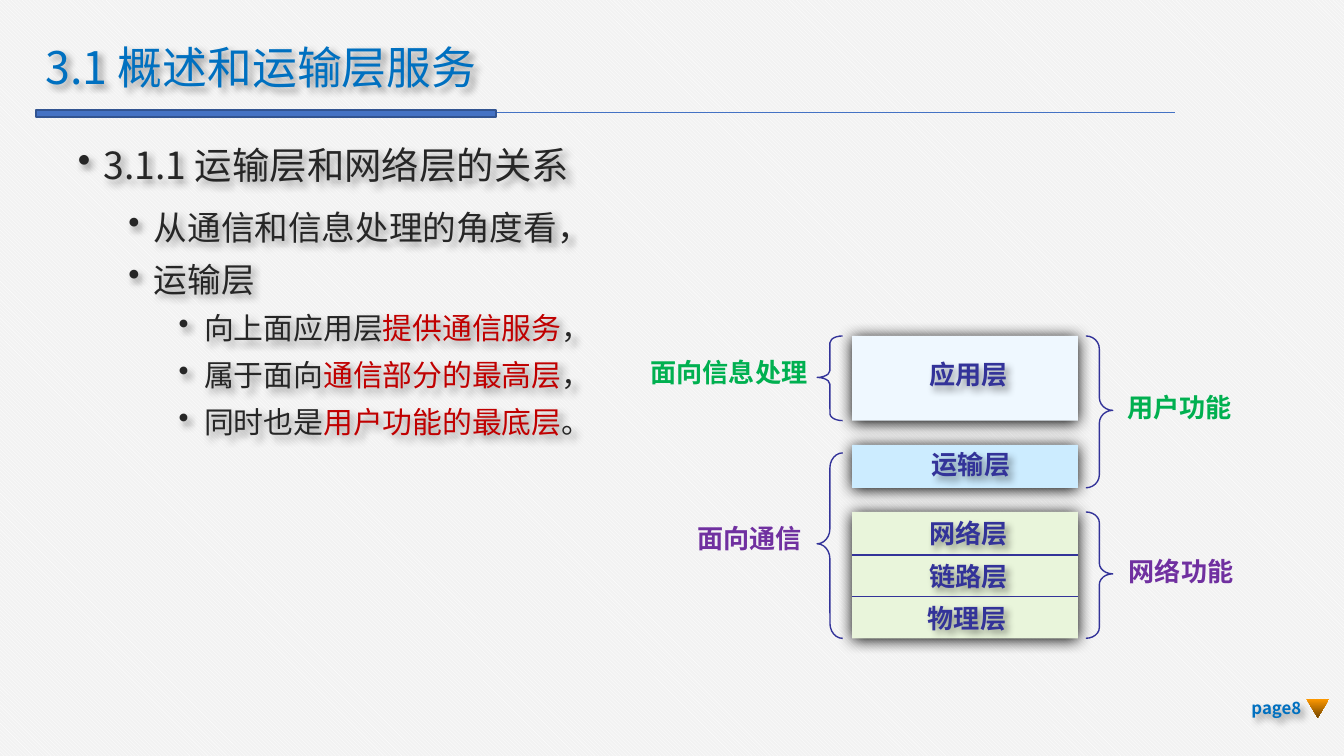
"""Build the slide on how the transport and network layers relate."""
from pptx import Presentation
from pptx.dml.color import RGBColor
from pptx.enum import dml, shapes, text
from pptx.oxml.xmlchemy import OxmlElement
from pptx.util import Inches, Pt

FONT = "Noto Sans CJK SC"
WHITE = RGBColor(0xFF, 0xFF, 0xFF)
PALE = RGBColor(0xF2, 0xF2, 0xF2)
INK = RGBColor(0x26, 0x26, 0x26)
BLACK = RGBColor(0, 0, 0)
RED = RGBColor(0xC0, 0, 0)
BLUE = RGBColor(0x00, 0x70, 0xC0)
BAR = RGBColor(0x44, 0x72, 0xC4)
EDGE = RGBColor(0x32, 0x54, 0x91)
NAVY = RGBColor(0x33, 0x33, 0x99)
GREEN = RGBColor(0x00, 0xB0, 0x50)
PURPLE = RGBColor(0x70, 0x30, 0xA0)
ICE = RGBColor(0xEF, 0xF8, 0xFF)
SKY = RGBColor(0xCC, 0xEC, 0xFF)
LIME = RGBColor(0xE9, 0xF5, 0xDB)
GOLD = RGBColor(0xFF, 0x99, 0x00)
BROWN = RGBColor(0x76, 0x47, 0x00)

SOFT = {"blur": 4, "dist": 3, "angle": 45, "alpha": 40}
HARD = {"blur": 8.5, "dist": 1, "angle": 90, "alpha": 100}
STACK = 6.34
WIDE = 1.68

POINTS = [
    (0, 20, [("3.1.1 运输层和网络层的关系", INK)]),
    (1, 18, [("从通信和信息处理的角度看，", INK)]),
    (1, 18, [("运输层", INK)]),
    (2, 16, [("向上面应用层", INK), ("提供通信服务", RED), ("，", INK)]),
    (2, 16, [("属于面向", INK), ("通信部分的最高层", RED), ("，", INK)]),
    (2, 16, [("同时也是", INK), ("用户功能的最底层", RED), ("。", INK)]),
]
BLOCKS = [(2.5, 0.63, ICE), (3.81, 0.94, LIME), (3.31, 0.32, SKY)]
LAYERS = [
    ("应用层", 6.81, 2.62),
    ("运输层", 6.83, 3.29),
    ("网络层", 6.81, 3.8),
    ("链路层", 6.81, 4.12),
    ("物理层", 6.8, 4.43),
]
ROLES = [
    ("面向信息处理", 4.74, 2.6, 1.38, GREEN),
    ("面向通信", 5.09, 3.84, 0.99, PURPLE),
    ("用户功能", 8.29, 2.86, 0.99, GREEN),
    ("网络功能", 8.3, 4.08, 0.99, PURPLE),
]
BRACES = [
    ("RIGHT_BRACE", (8.08, 2.5, 0.2, 1.13), 0.48),
    ("RIGHT_BRACE", (8.08, 3.81, 0.2, 0.94), 0.4),
    ("LEFT_BRACE", (6.08, 2.5, 0.19, 0.63), 0.27),
    ("LEFT_BRACE", (6.08, 3.37, 0.19, 1.38), 0.59),
]


def assign(item, values):
    """Set every named attribute on the item."""
    for name, value in values.items():
        setattr(item, name, value)


def shade(shape, blur, dist, angle, alpha):
    """Give the shape a blurred black shadow."""
    effects = OxmlElement("a:effectLst")
    outer = OxmlElement("a:outerShdw")
    color = OxmlElement("a:srgbClr")
    clear = OxmlElement("a:alpha")
    outer.set("blurRad", str(Pt(blur)))
    outer.set("dist", str(Pt(dist)))
    outer.set("dir", str(angle * 60000))
    outer.set("algn", "ctr")
    outer.set("rotWithShape", "0")
    color.set("val", str(BLACK))
    clear.set("val", str(alpha * 1000))
    color.append(clear)
    outer.append(color)
    effects.append(outer)
    shape._element.spPr.append(effects)


def add_run(para, words, size, color, bold=False):
    """Add a run in the slide font."""
    run = para.add_run()
    run.text = words
    assign(run.font, {"name": FONT, "size": Pt(size), "bold": bold})
    run.font.color.rgb = color
    east = OxmlElement("a:ea")
    east.set("typeface", FONT)
    run._r.get_or_add_rPr().append(east)


def add_box(slide, at, **values):
    """Add a text box and return it with its frame."""
    box = slide.shapes.add_textbox(*map(Inches, at))
    assign(box.text_frame, {"word_wrap": True, **values})
    return box, box.text_frame


def add_label(slide, words, at, size, color, align=None, bold=True, **values):
    """Add a one-line text box."""
    box, frame = add_box(slide, at, **values)
    para = frame.paragraphs[0]
    para.alignment = align
    add_run(para, words, size, color, bold)
    return box


def add_points(slide, at, insets):
    """Add the bullet list."""
    box, frame = add_box(slide, at, **insets)
    for index, (level, size, parts) in enumerate(POINTS):
        para = frame.add_paragraph() if index else frame.paragraphs[0]
        props = para._p.get_or_add_pPr()
        props.set("marL", str(Inches(0.19 + 0.375 * level)))
        props.set("indent", str(Inches(-0.19)))
        bullet = OxmlElement("a:buChar")
        bullet.set("char", "•")
        props.append(bullet)
        assign(para, {
            "level": level,
            "space_before": Pt(6 if index else 0),
            "space_after": Pt(0 if level else 4.5),
        })
        for words, color in parts:
            add_run(para, words, size, color)
    shade(box, **SOFT)


def add_shape(slide, kind, at, fill=None, line=None, weight=0.75):
    """Add a preset shape without the theme look."""
    shape = slide.shapes.add_shape(shapes.MSO_SHAPE[kind], *map(Inches, at))
    shape.shadow.inherit = False
    if fill is None:
        shape.fill.background()
    else:
        shape.fill.solid()
        shape.fill.fore_color.rgb = fill
    if line is None:
        shape.line.fill.background()
    else:
        shape.line.color.rgb = line
        shape.line.width = Pt(weight)
    return shape


def add_block(slide, top, high, fill):
    """Add a shadowed block of the layer stack."""
    block = add_shape(slide, "RECTANGLE", (STACK, top, WIDE, high), fill)
    block.shadow.inherit = True
    shade(block, **HARD)


def add_rule(slide, left, right, top, color, weight):
    """Add a level line."""
    ends = map(Inches, (left, top, right, top))
    rule = slide.shapes.add_connector(shapes.MSO_CONNECTOR.STRAIGHT, *ends)
    rule.line.color.rgb = color
    rule.line.width = Pt(weight)
    rule._element.spPr.append(OxmlElement("a:effectLst"))


def add_brace(slide, kind, at, curve):
    """Add a curly brace."""
    brace = add_shape(slide, kind, at, line=NAVY)
    brace.adjustments[0] = curve
    brace.adjustments[1] = 0.49


def add_mark(slide, at):
    """Add the gradient page marker."""
    mark = add_shape(slide, "FLOWCHART_MERGE", at)
    mark.fill.gradient()
    mark.fill.gradient_angle = 270
    for stop, color in zip(mark.fill.gradient_stops, (GOLD, BROWN)):
        stop.color.rgb = color


def main():
    """Build and save the slide."""
    deck = Presentation()
    wide = Inches(10)
    assign(deck, {"slide_width": wide, "slide_height": wide * 9 // 16})
    slide = deck.slides.add_slide(deck.slide_layouts[6])
    back = slide.background.fill
    back.patterned()
    back.pattern = dml.MSO_PATTERN.DARK_DOWNWARD_DIAGONAL
    back.fore_color.rgb = WHITE
    back.back_color.rgb = PALE

    insets = {"margin_left": Inches(0.07), "margin_right": Inches(0.07),
              "margin_top": Inches(0.04), "margin_bottom": Inches(0.04)}
    middle = {"vertical_anchor": text.MSO_ANCHOR.MIDDLE}
    center, right = text.PP_ALIGN.CENTER, text.PP_ALIGN.RIGHT

    add_rule(slide, 0.27, 8.74, 0.84, BAR, 0.5)
    add_shape(slide, "RECTANGLE", (0.27, 0.82, 3.42, 0.05), BAR, EDGE, 1)
    title = add_label(slide, "3.1 概述和运输层服务", (0.27, 0.3, 4.26, 0.44),
                      24, BLUE, bold=False, **insets, **middle)
    title.text_frame.paragraphs[0].line_spacing = 0.9
    shade(title, **SOFT)
    add_points(slide, (0.51, 1.02, 4.37, 2.54), insets)

    for block in BLOCKS:
        add_block(slide, *block)
    for top in (4.13, 4.44):
        add_rule(slide, STACK, STACK + WIDE, top, NAVY, 0.75)
    for words, left, top in LAYERS:
        layer = add_label(slide, words, (left, top, 0.79, 0.34), 14, NAVY,
                          center, word_wrap=False)
        shade(layer, **SOFT)
    for brace in BRACES:
        add_brace(slide, *brace)
    for words, left, top, span, color in ROLES:
        add_label(slide, words, (left, top, span, 0.34), 14, color,
                  word_wrap=False)
    page = add_label(slide, "page8", (9.09, 5.12, 0.69, 0.3), 9, BLUE, right,
                     **middle)
    shade(page, **SOFT)
    add_mark(slide, (9.72, 5.2, 0.17, 0.14))
    deck.save("out.pptx")


if __name__ == "__main__":
    main()
